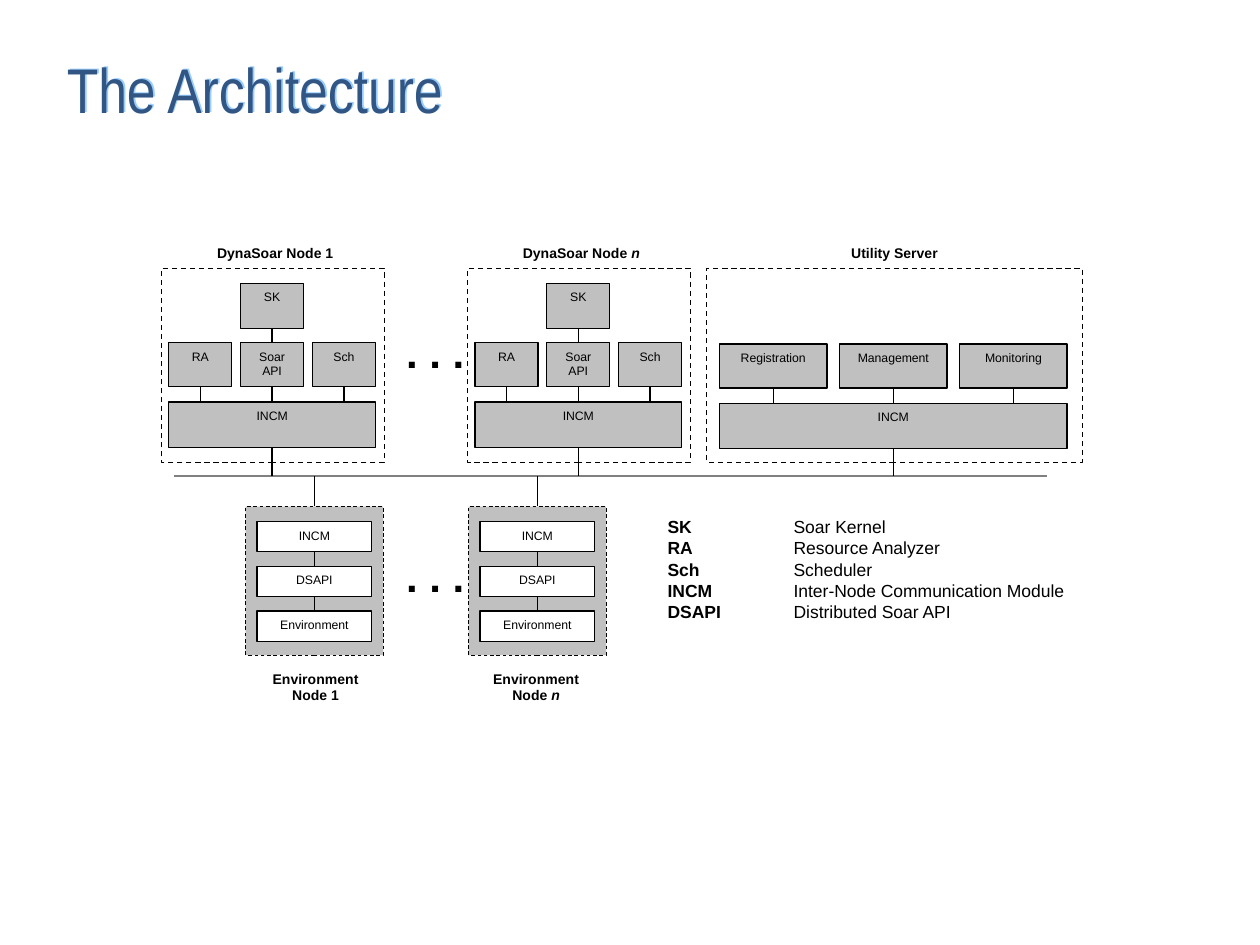
from collections import namedtuple

from lxml import etree
from pptx import Presentation
from pptx.dml.color import RGBColor
from pptx.enum import dml, shapes, text
from pptx.oxml import ns
from pptx.util import Inches, Pt

COLORS = {"title": "315683", "title_shadow": "99CCFF", "ink": "000000",
          "bus": "808080", "module": "C0C0C0", "paper": "FFFFFF"}
Box = namedtuple("Box", "left top width height")
BUS_Y = 3.78
TOP, BOTTOM = 0, 2
MODULE_FONT = {"size": Pt(7), "name": "Arial"}
LABEL_FONT = {"size": Pt(8), "name": "Arial", "bold": True}
DOTS_FONT = {"size": Pt(24), "name": "Arial", "bold": True}
LEGEND_FONT = {"size": Pt(10), "name": "Arial"}


def rgb(key):
    return RGBColor.from_string(COLORS[key])


def inches(box):
    return [Inches(value) for value in box]


def write(paragraph, content, font, color="ink", **changes):
    """Add content to the paragraph; newlines become line breaks."""
    for index, part in enumerate(content.split("\n")):
        if index:
            paragraph.add_line_break()
        run = paragraph.add_run()
        run.text = part
        for name, value in {**font, **changes}.items():
            setattr(run.font, name, value)
        run.font.color.rgb = rgb(color)


def add_box(slide, box, fill="paper", line_width=None, dashed=False):
    rect = slide.shapes.add_shape(shapes.MSO_SHAPE.RECTANGLE, *inches(box))
    rect.shadow.inherit = False
    rect.fill.solid()
    rect.fill.fore_color.rgb = rgb(fill)
    if line_width is None:
        rect.line.fill.background()
    else:
        rect.line.color.rgb = rgb("ink")
        rect.line.width = Pt(line_width)
        if dashed:
            rect.line.dash_style = dml.MSO_LINE.DASH
    frame = rect.text_frame
    frame.word_wrap = True
    frame.vertical_anchor = text.MSO_ANCHOR.TOP
    return rect


def add_module(slide, box, name, fill="module"):
    module = add_box(slide, box, fill, 0.75)
    paragraph = module.text_frame.paragraphs[0]
    paragraph.alignment = text.PP_ALIGN.CENTER
    write(paragraph, name, MODULE_FONT)
    return module


def add_label(slide, box, name, number):
    paragraph = add_box(slide, box).text_frame.paragraphs[0]
    paragraph.alignment = text.PP_ALIGN.CENTER
    write(paragraph, name, LABEL_FONT)
    if number:
        write(paragraph, number, LABEL_FONT, italic=number == "n")


def add_line(slide, start, end, color="ink", width=0.75):
    line = slide.shapes.add_connector(shapes.MSO_CONNECTOR.STRAIGHT, *start, *end)
    line.line.color.rgb = rgb(color)
    line.line.width = Pt(width)
    etree.SubElement(line._element.spPr, ns.qn("a:effectLst"))
    return line


def drop_line(slide, upper, lower_y, lower=None):
    """Run a line down from the middle of upper's bottom side."""
    x = upper.left + upper.width // 2
    line = add_line(slide, (x, upper.top + upper.height), (x, lower_y))
    line.begin_connect(upper, BOTTOM)
    if lower is not None:
        line.end_connect(lower, TOP)


def add_module_row(slide, box, names, gap):
    """Place equal modules across the box, above a shared INCM bar."""
    width = (box.width - gap * (len(names) - 1)) / len(names)
    modules = [add_module(slide, Box(box.left + i * (width + gap), box.top, width, 0.35), name)
               for i, name in enumerate(names)]
    bar = add_module(slide, Box(box.left, box.top + 0.47, box.width, 0.36), "INCM")
    middle = len(names) // 2
    for i, module in enumerate(modules):
        drop_line(slide, module, bar.top, bar if i == middle else None)
    drop_line(slide, bar, Inches(BUS_Y))
    return modules[middle]


def add_dynasoar_node(slide, box, number):
    add_label(slide, Box(box.left + 0.27, box.top - 0.24, 1.27, 0.5), "DynaSoar Node ", number)
    add_box(slide, box, "paper", 0.75, dashed=True)
    row = Box(box.left + 0.06, box.top + 0.59, 1.64, 0.83)
    api = add_module_row(slide, row, ["RA", "Soar\nAPI", "Sch"], 0.07)
    kernel = add_module(slide, Box(box.left + 0.63, box.top + 0.12, 0.5, 0.36), "SK")
    drop_line(slide, kernel, api.top, api)


def add_utility_server(slide, box):
    add_label(slide, Box(box.left + 0.95, box.top - 0.24, 1.08, 0.49), "Utility Server", "")
    add_box(slide, box, "paper", 0.75, dashed=True)
    row = Box(box.left + 0.1, box.top + 0.6, 2.76, 0.83)
    add_module_row(slide, row, ["Registration", "Management", "Monitoring"], 0.1)


def add_environment_node(slide, box, number, label_left):
    node = add_box(slide, box, "module", 0.5, dashed=True)
    x = node.left + node.width // 2
    add_line(slide, (x, Inches(BUS_Y)), (x, node.top)).end_connect(node, TOP)
    layers = [add_module(slide, Box(box.left + 0.09, box.top + 0.12 + i * 0.355, 0.91, 0.24),
                         name, "paper")
              for i, name in enumerate(["INCM", "DSAPI", "Environment"])]
    for upper, lower in zip(layers, layers[1:]):
        drop_line(slide, upper, lower.top, lower)
    add_label(slide, Box(label_left, box.top + 1.25, 1.09, 0.54), "Environment\nNode ", number)


def add_dots(slide, box):
    write(add_box(slide, box).text_frame.paragraphs[0], ". . .", DOTS_FONT)


def add_legend(slide, box):
    frame = slide.shapes.add_textbox(*inches(box)).text_frame
    frame.word_wrap = True
    terms = {"SK": "Soar Kernel", "RA": "Resource Analyzer", "Sch": "Scheduler",
             "INCM": "Inter-Node Communication Module", "DSAPI": "Distributed Soar API"}
    for i, (term, meaning) in enumerate(terms.items()):
        paragraph = frame.add_paragraph() if i else frame.paragraphs[0]
        stops = etree.SubElement(paragraph._p.get_or_add_pPr(), ns.qn("a:tabLst"))
        etree.SubElement(stops, ns.qn("a:tab"), pos=str(Inches(1)), algn="l")
        write(paragraph, term + "\t", LEGEND_FONT, bold=True)
        write(paragraph, meaning, LEGEND_FONT, bold=False)


def set_title(slide, box):
    title = slide.shapes.title
    title.left, title.top, title.width, title.height = inches(box)
    effects = etree.SubElement(title._element.spPr, ns.qn("a:effectLst"))
    shadow = etree.SubElement(effects, ns.qn("a:outerShdw"), dist="18000", dir="18900000",
                              algn="ctr", rotWithShape="0")
    etree.SubElement(shadow, ns.qn("a:srgbClr"), val=COLORS["title_shadow"])
    title.text_frame.vertical_anchor = text.MSO_ANCHOR.MIDDLE
    paragraph = title.text_frame.paragraphs[0]
    paragraph.alignment = text.PP_ALIGN.LEFT
    write(paragraph, "The Architecture", {"size": Pt(36), "name": "Arial Narrow"}, "title")


def main():
    deck = Presentation()
    deck.slide_width, deck.slide_height = Inches(10), Inches(7.5)
    slide = deck.slides.add_slide(deck.slide_layouts[5])
    set_title(slide, Box(0.43, 0.08, 9.14, 1.25))
    add_line(slide, inches((1.38, BUS_Y)), inches((8.31, BUS_Y)), "bus", 1)
    for top in (2.54, 4.32):
        add_dots(slide, Box(3.08, top, 0.75, 0.54))
    for number, left in (("1", 1.28), ("n", 3.71)):
        add_dynasoar_node(slide, Box(left, 2.13, 1.77, 1.54), number)
    add_utility_server(slide, Box(5.61, 2.13, 2.98, 1.54))
    for number, left, label_left in (("1", 1.95, 1.96), ("n", 3.72, 3.71)):
        add_environment_node(slide, Box(left, 4.02, 1.09, 1.18), number, label_left)
    add_legend(slide, Box(5.2, 4.05, 3.38, 2.03))
    deck.save("out.pptx")


if __name__ == "__main__":
    main()
